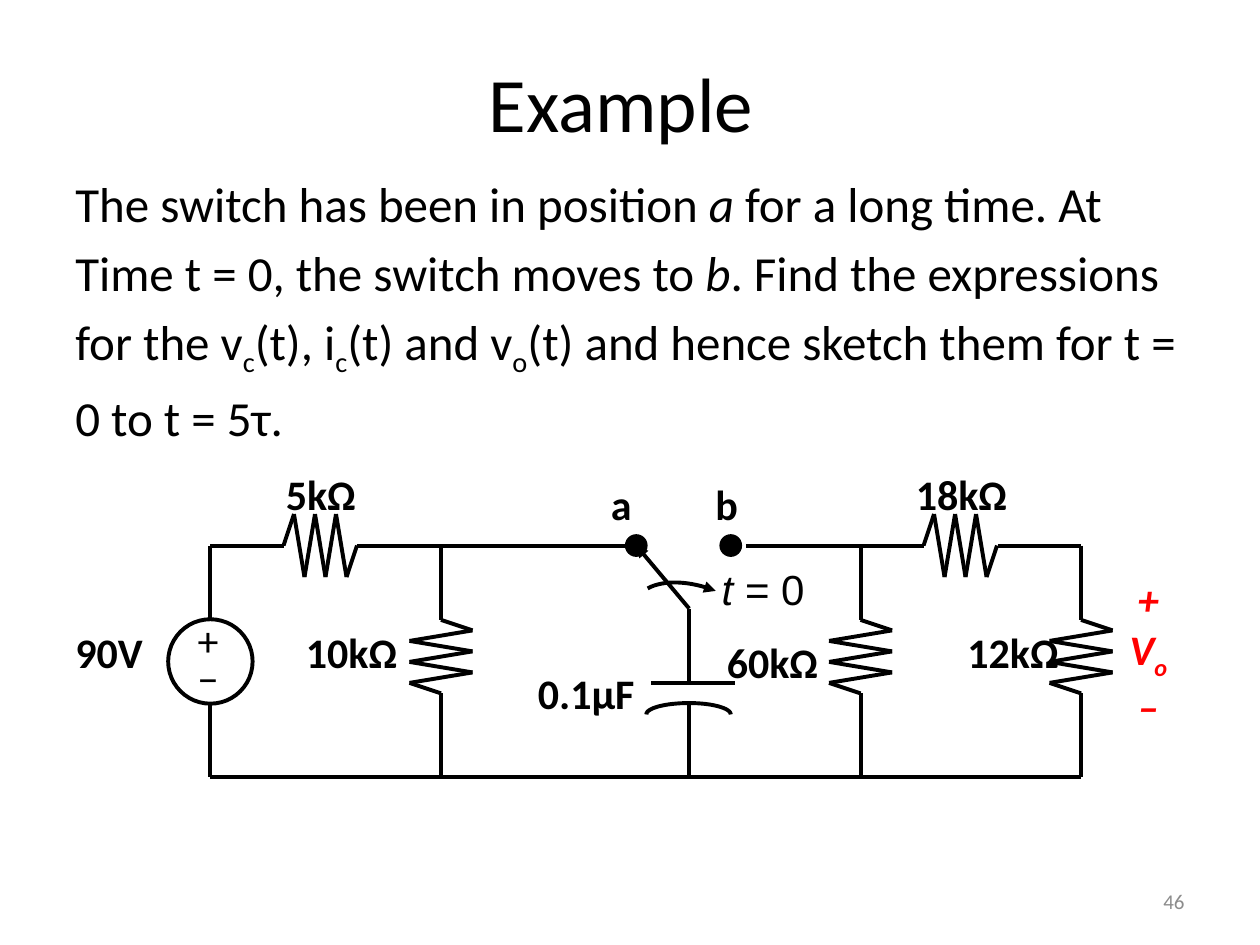
from dataclasses import dataclass
from itertools import pairwise

from lxml.etree import SubElement
from pptx import Presentation
from pptx.dml.color import RGBColor
from pptx.enum.shapes import MSO_CONNECTOR, MSO_SHAPE
from pptx.enum.text import MSO_ANCHOR, MSO_AUTO_SIZE, PP_ALIGN
from pptx.oxml.ns import qn
from pptx.util import Inches, Pt

COLORS = {"ink": "000000", "output": "FF0000", "page_number": "8C8C8C"}
TOP, BOTTOM = 4.33, 6.17
SOURCE_X, CAPACITOR_X = 1.67, 5.47
STEP = 1 / 12
SWING = 0.25
LINE_WIDTH = 2.25

Point = tuple[float, float]


@dataclass
class Span:
    text: str
    italic: bool = False
    subscript: bool = False


@dataclass
class Label:
    left: float
    top: float
    width: float
    height: float
    lines: list[list[Span]]
    size: float = 24
    color: str = "ink"
    font: str = "Calibri"
    bold: bool = False
    align: PP_ALIGN = PP_ALIGN.LEFT
    anchor: MSO_ANCHOR = MSO_ANCHOR.TOP
    wrap: bool = False
    line_spacing: float | None = None
    space_before: float = 0
    hanging: float = 0


@dataclass
class Resistor:
    x: float
    y: float
    vertical: bool


def color(name: str) -> RGBColor:
    return RGBColor.from_string(COLORS[name])


def draw_label(page, label: Label) -> None:
    box = page.shapes.add_textbox(
        Inches(label.left), Inches(label.top), Inches(label.width), Inches(label.height)
    )
    frame = box.text_frame
    frame.word_wrap = label.wrap
    frame.auto_size = MSO_AUTO_SIZE.NONE if label.wrap else MSO_AUTO_SIZE.SHAPE_TO_FIT_TEXT
    frame.vertical_anchor = label.anchor
    for index, spans in enumerate(label.lines):
        para = frame.add_paragraph() if index else frame.paragraphs[0]
        para.alignment = label.align
        para.space_before = Pt(label.space_before)
        if label.line_spacing:
            para.line_spacing = label.line_spacing
        if label.hanging:
            properties = para._p.get_or_add_pPr()
            properties.set("marL", str(Inches(label.hanging)))
            properties.set("indent", str(-Inches(label.hanging)))
        for span in spans:
            run = para.add_run()
            run.text = span.text
            run.font.name = label.font
            run.font.size = Pt(label.size)
            run.font.bold = label.bold
            run.font.italic = span.italic
            run.font.color.rgb = color(label.color)
            if span.subscript:
                run.font._element.set("baseline", "-25000")


def add_arrowhead(line, end: str) -> None:
    SubElement(line._get_or_add_ln(), qn(f"a:{end}"), type="triangle")


def draw_wire(page, start: Point, end: Point):
    wire = page.shapes.add_connector(
        MSO_CONNECTOR.STRAIGHT, *(Inches(value) for value in (*start, *end))
    )
    wire.line.color.rgb = color("ink")
    wire.line.width = Pt(LINE_WIDTH)
    SubElement(wire._element.spPr, qn("a:effectLst"))
    return wire


def draw_resistor(page, resistor: Resistor) -> None:
    offsets = [0, *(SWING * (-1) ** turn for turn in range(6)), 0]
    points = [
        (resistor.x + offset, resistor.y + turn * STEP)
        if resistor.vertical
        else (resistor.x + turn * STEP, resistor.y - offset)
        for turn, offset in enumerate(offsets)
    ]
    for start, end in pairwise(points):
        draw_wire(page, start, end)


def curve_points(a: Point, b: Point, c: Point, d: Point, count: int = 16) -> list[Point]:
    points = []
    for index in range(count + 1):
        t = index / count
        weights = ((1 - t) ** 3, 3 * t * (1 - t) ** 2, 3 * t**2 * (1 - t), t**3)
        x, y = (sum(w * p[axis] for w, p in zip(weights, (a, b, c, d))) for axis in (0, 1))
        points.append((x, y))
    return points


def draw_curve(page, points: list[Point]):
    start, *rest = [(Inches(x), Inches(y)) for x, y in points]
    builder = page.shapes.build_freeform(*start)
    builder.add_line_segments(rest, close=False)
    curve = builder.convert_to_shape()
    curve.shadow.inherit = False
    curve.fill.background()
    curve.line.color.rgb = color("ink")
    curve.line.width = Pt(LINE_WIDTH)
    return curve


def draw_circle(page, center: Point, diameter: float, filled: bool) -> None:
    left, top = (value - diameter / 2 for value in center)
    circle = page.shapes.add_shape(
        MSO_SHAPE.OVAL, Inches(left), Inches(top), Inches(diameter), Inches(diameter)
    )
    circle.shadow.inherit = False
    circle.line.color.rgb = color("ink")
    circle.line.width = Pt(0.75 if filled else LINE_WIDTH)
    if filled:
        circle.fill.solid()
        circle.fill.fore_color.rgb = color("ink")
    else:
        circle.fill.background()


QUESTION = [
    [Span("The switch has been in position "), Span("a ", italic=True), Span("for a long time. At")],
    [Span("Time t = 0, the switch moves to "), Span("b", italic=True), Span(". Find the expressions")],
    [Span("for the v"), Span("c", subscript=True), Span("(t), i"), Span("c", subscript=True),
     Span("(t) and v"), Span("o", subscript=True), Span("(t) and hence sketch them for t =")],
    [Span("0 to t = 5τ.")],
]
OUTPUT = [
    [Span("+", italic=True)],
    [Span("V", italic=True), Span("o", italic=True, subscript=True)],
    [Span("–", italic=True)],
]
TEXTS = [
    Label(0.5, 0.25, 9, 1.11, [[Span("Example ")]], 44, align=PP_ALIGN.CENTER,
          anchor=MSO_ANCHOR.MIDDLE, wrap=True),
    Label(0.5, 1.33, 9, 5.37, QUESTION, 28, wrap=True, space_before=5.6, hanging=0.38),
    Label(7.17, 6.95, 2.33, 0.4, [[Span("46")]], 12, "page_number", align=PP_ALIGN.RIGHT,
          anchor=MSO_ANCHOR.MIDDLE, wrap=True),
    Label(5.63, 4.42, 0.86, 0.5, [[Span("t ", italic=True), Span("= 0")]], font="Arial"),
    Label(1.47, 4.92, 0.39, 0.7, [[Span("+")], [Span("−")]], line_spacing=0.75),
    Label(8.85, 4.5, 0.53, 1.3, OUTPUT, color="output", bold=True, align=PP_ALIGN.CENTER),
]
PART_NAMES = [
    ("5kΩ", 2.17, 3.67, 0.82), ("10kΩ", 2.33, 4.92, 0.99), ("a", 4.75, 3.75, 0.37),
    ("b", 5.58, 3.75, 0.47), ("18kΩ", 7.17, 3.67, 0.99), ("0.1μF", 4.17, 5.25, 1.01),
    ("12kΩ", 7.58, 4.92, 0.99), ("60kΩ", 5.67, 5, 0.99), ("90V", 0.5, 4.92, 0.78),
]
BRANCHES = [3.5, 6.83, 8.58]
RESISTORS = [Resistor(x, 4.92, True) for x in BRANCHES] + [
    Resistor(x, TOP, False) for x in (2.25, 7.33)
]
TOP_WIRES = [(SOURCE_X, 2.25), (2.83, 3.5), (3.5, 5), (5.92, 6.83), (6.83, 7.33), (7.92, 8.58)]
VERTICAL_WIRES = [
    (SOURCE_X, TOP, 4.92), (SOURCE_X, 5.58, BOTTOM),
    (CAPACITOR_X, 4.83, 5.42), (CAPACITOR_X, 5.58, BOTTOM),
    *((x, TOP, 4.92) for x in BRANCHES), *((x, 5.5, BOTTOM) for x in BRANCHES),
]


def main() -> None:
    deck = Presentation()
    deck.slide_width, deck.slide_height = Inches(10), Inches(7.5)
    page = deck.slides.add_slide(deck.slide_layouts[6])
    for start, end in TOP_WIRES:
        draw_wire(page, (start, TOP), (end, TOP))
    for x, start, end in VERTICAL_WIRES:
        draw_wire(page, (x, start), (x, end))
    draw_wire(page, (SOURCE_X, BOTTOM), (BRANCHES[-1], BOTTOM))
    for resistor in RESISTORS:
        draw_resistor(page, resistor)
    draw_circle(page, (SOURCE_X, 5.25), 0.67, filled=False)
    for x in (5.05, 5.8):
        draw_circle(page, (x, TOP), 0.17, filled=True)
    switch = draw_wire(page, (5.05, TOP), (CAPACITOR_X, 4.83))
    add_arrowhead(switch.line, "headEnd")
    motion = draw_curve(page, curve_points((5.14, 4.67), (5.27, 4.6), (5.48, 4.61), (5.68, 4.69)))
    add_arrowhead(motion.line, "tailEnd")
    draw_wire(page, (5.17, 5.42), (5.83, 5.42))
    for edge, bend in ((5.13, 5.28), (5.8, 5.65)):
        draw_curve(page, curve_points((CAPACITOR_X, 5.58), (bend, 5.58), (edge, 5.62), (edge, 5.67)))
    names = [Label(x, y, width, 0.5, [[Span(text)]], bold=True) for text, x, y, width in PART_NAMES]
    for label in TEXTS + names:
        draw_label(page, label)
    deck.save("out.pptx")


if __name__ == "__main__":
    main()
